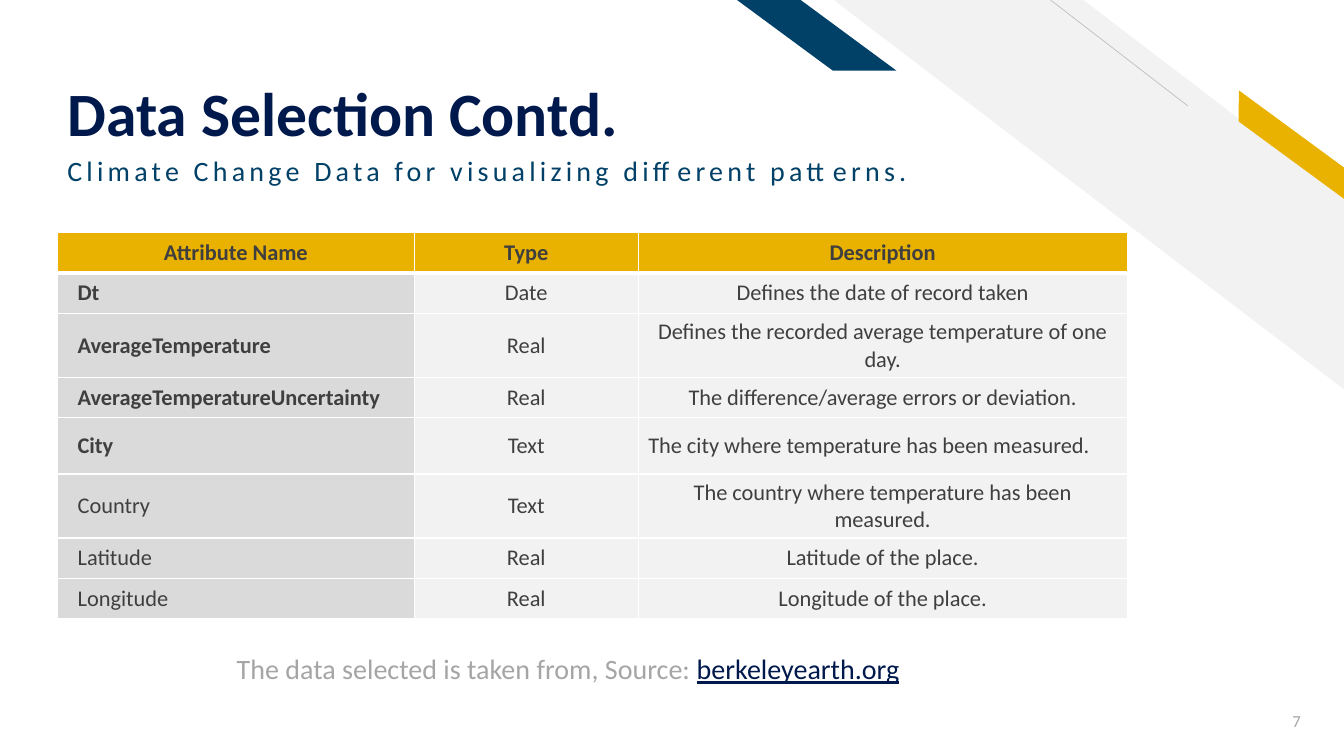
from dataclasses import dataclass

from lxml import etree
from pptx import Presentation
from pptx import util as u
from pptx.dml.color import RGBColor
from pptx.enum import shapes, text
from pptx.oxml.ns import qn

EMU_PER_PX = 9144
CENTER, LEFT, RIGHT = text.PP_ALIGN.CENTER, text.PP_ALIGN.LEFT, text.PP_ALIGN.RIGHT
MIDDLE, TOP, BOTTOM = text.MSO_ANCHOR.MIDDLE, text.MSO_ANCHOR.TOP, text.MSO_ANCHOR.BOTTOM


@dataclass(frozen=True)
class Theme:
    navy: str = "00194C"
    blue: str = "014067"
    gold: str = "EAB200"
    pale: str = "F2F2F2"
    attribute: str = "DADADA"
    rule: str = "BFBFBF"
    ink: str = "3F3F3F"
    muted: str = "A5A5A5"
    white: str = "FFFFFF"
    font: str = "Calibri"
    title_size: int = 44
    body_size: int = 20
    table_size: int = 16
    number_size: int = 12


THEME = Theme()


@dataclass(frozen=True)
class Span:
    words: str
    size: int
    color: str
    bold: bool = False
    underline: bool = False
    tracking: int = 0


@dataclass(frozen=True)
class Label:
    box: tuple[int, int, int, int]
    spans: tuple[Span, ...]
    align: text.PP_ALIGN = LEFT
    anchor: text.MSO_ANCHOR = TOP
    line_spacing: float = 1.0
    bottom_inset: int = 5


@dataclass(frozen=True)
class Band:
    preset: shapes.MSO_SHAPE
    box: tuple[int, int, int, int]
    slant: float
    color: str
    rotation: float = 0


@dataclass(frozen=True)
class Attribute:
    name: str
    kind: str
    description: str
    height: int = 40
    bold: bool = True
    align: text.PP_ALIGN = CENTER


STRIPE = Band(shapes.MSO_SHAPE.DIAGONAL_STRIPE, (827, 0, 507, 387), 0.512, THEME.pale)
ACCENTS = (
    Band(shapes.MSO_SHAPE.PARALLELOGRAM, (1207, 131, 148, 25), 0.72, THEME.gold, 36.3),
    Band(shapes.MSO_SHAPE.PARALLELOGRAM, (731, 0, 158, 70), 1.356, THEME.blue),
)
LABELS = (
    Label((57, 23, 911, 126),
          (Span("Data Selection Contd.", THEME.title_size, THEME.navy, bold=True),),
          anchor=BOTTOM, line_spacing=0.9, bottom_inset=0),
    Label((57, 151, 863, 67),
          (Span("Climate Change Data for visualizing different patterns.",
                THEME.body_size, THEME.blue, tracking=300),),
          line_spacing=0.9),
    Label((225, 643, 743, 40),
          (Span("The data selected is taken from, Source: ", THEME.body_size, THEME.muted),
           Span("berkeleyearth.org", THEME.body_size, THEME.navy, underline=True)),
          anchor=MIDDLE),
    Label((1219, 695, 81, 40), (Span("7", THEME.number_size, THEME.muted),),
          align=RIGHT, anchor=MIDDLE),
)
COLUMN_WIDTHS = (354, 222, 485)
HEADER = Attribute("Attribute Name", "Type", "Description")
ATTRIBUTES = (
    Attribute("Dt", "Date", "Defines the date of record taken"),
    Attribute("AverageTemperature", "Real",
              "Defines the recorded average temperature of one day.", height=56),
    Attribute("AverageTemperatureUncertainty", "Real",
              "The difference/average errors or deviation."),
    Attribute("City", "Text", "The city where temperature has been measured.",
              height=56, align=LEFT),
    Attribute("Country", "Text", "The country where temperature has been measured.",
              height=56, bold=False),
    Attribute("Latitude", "Real", "Latitude of the place.", bold=False),
    Attribute("Longitude", "Real", "Longitude of the place.", bold=False),
)


def px(*lengths: int) -> list[u.Emu]:
    return [u.Emu(length * EMU_PER_PX) for length in lengths]


def rgb(color: str) -> RGBColor:
    return RGBColor.from_string(color)


def format_run(run, span: Span) -> None:
    run.font.name = THEME.font
    run.font.size = u.Pt(span.size)
    run.font.bold = span.bold
    run.font.underline = span.underline
    run.font.color.rgb = rgb(span.color)
    if span.tracking:
        run.font._element.set("spc", str(span.tracking))


def draw_band(slide, band: Band) -> None:
    shape = slide.shapes.add_shape(band.preset, *px(*band.box))
    shape.adjustments[0] = band.slant
    shape.rotation = band.rotation
    shape._element.spPr.find(qn("a:xfrm")).set("flipH", "1")
    shape.shadow.inherit = False
    shape.fill.solid()
    shape.fill.fore_color.rgb = rgb(band.color)
    shape.line.fill.background()


def draw_hairline(slide) -> None:
    hairline = slide.shapes.add_connector(
        shapes.MSO_CONNECTOR.STRAIGHT, *px(1178, 105, 1042, 0))
    hairline.line.color.rgb = rgb(THEME.rule)
    hairline.line.width = u.Pt(0.5)
    etree.SubElement(hairline._element.spPr, qn("a:effectLst"))


def draw_label(slide, label: Label) -> None:
    frame = slide.shapes.add_textbox(*px(*label.box)).text_frame
    frame.word_wrap = True
    frame.vertical_anchor = label.anchor
    frame.margin_bottom = px(label.bottom_inset)[0]
    paragraph = frame.paragraphs[0]
    paragraph.alignment = label.align
    paragraph.line_spacing = label.line_spacing
    for span in label.spans:
        run = paragraph.add_run()
        run.text = span.words
        format_run(run, span)


def add_border(cell, side: str, points: int) -> None:
    border = etree.SubElement(cell._tc.get_or_add_tcPr(), qn(f"a:{side}"),
                              w=str(u.Pt(points)))
    solid = etree.SubElement(border, qn("a:solidFill"))
    etree.SubElement(solid, qn("a:srgbClr"), val=THEME.white)


def fill_cell(cell, words: str, bold: bool, align: text.PP_ALIGN, color: str,
              left_inset: int, top_border: int, bottom_border: int) -> None:
    cell.text_frame.text = words
    cell.vertical_anchor = MIDDLE
    cell.margin_left = px(left_inset)[0]
    paragraph = cell.text_frame.paragraphs[0]
    paragraph.alignment = align
    format_run(paragraph.runs[0], Span(words, THEME.table_size, THEME.ink, bold))
    for side, points in (("lnL", 1), ("lnR", 1), ("lnT", top_border), ("lnB", bottom_border)):
        add_border(cell, side, points)
    cell.fill.solid()
    cell.fill.fore_color.rgb = rgb(color)


def draw_attributes(slide) -> None:
    entries = (HEADER, *ATTRIBUTES)
    size = (sum(COLUMN_WIDTHS), sum(entry.height for entry in entries))
    table = slide.shapes.add_table(
        len(entries), len(COLUMN_WIDTHS), *px(57, 231, *size)).table
    table.horz_banding = False
    for column, width in zip(table.columns, px(*COLUMN_WIDTHS)):
        column.width = width
    for index, (row, entry) in enumerate(zip(table.rows, entries)):
        row.height = px(entry.height)[0]
        heading = index == 0
        words = (entry.name, entry.kind, entry.description)
        aligns = (CENTER if heading else LEFT, CENTER, entry.align)
        fills = (THEME.gold,) * 3 if heading else (THEME.attribute, THEME.pale, THEME.pale)
        for position, cell in enumerate(row.cells):
            naming = position == 0
            fill_cell(cell, words[position], heading or (naming and entry.bold),
                      aligns[position], fills[position],
                      left_inset=20 if naming and not heading else 10,
                      top_border=3 if index == 1 else 1,
                      bottom_border=3 if heading else 1)


def main() -> None:
    deck = Presentation()
    deck.slide_width, deck.slide_height = px(1333, 750)
    slide = deck.slides.add_slide(deck.slide_layouts[6])
    draw_band(slide, STRIPE)
    draw_hairline(slide)
    for accent in ACCENTS:
        draw_band(slide, accent)
    for label in LABELS:
        draw_label(slide, label)
    draw_attributes(slide)
    deck.save("out.pptx")


if __name__ == "__main__":
    main()
